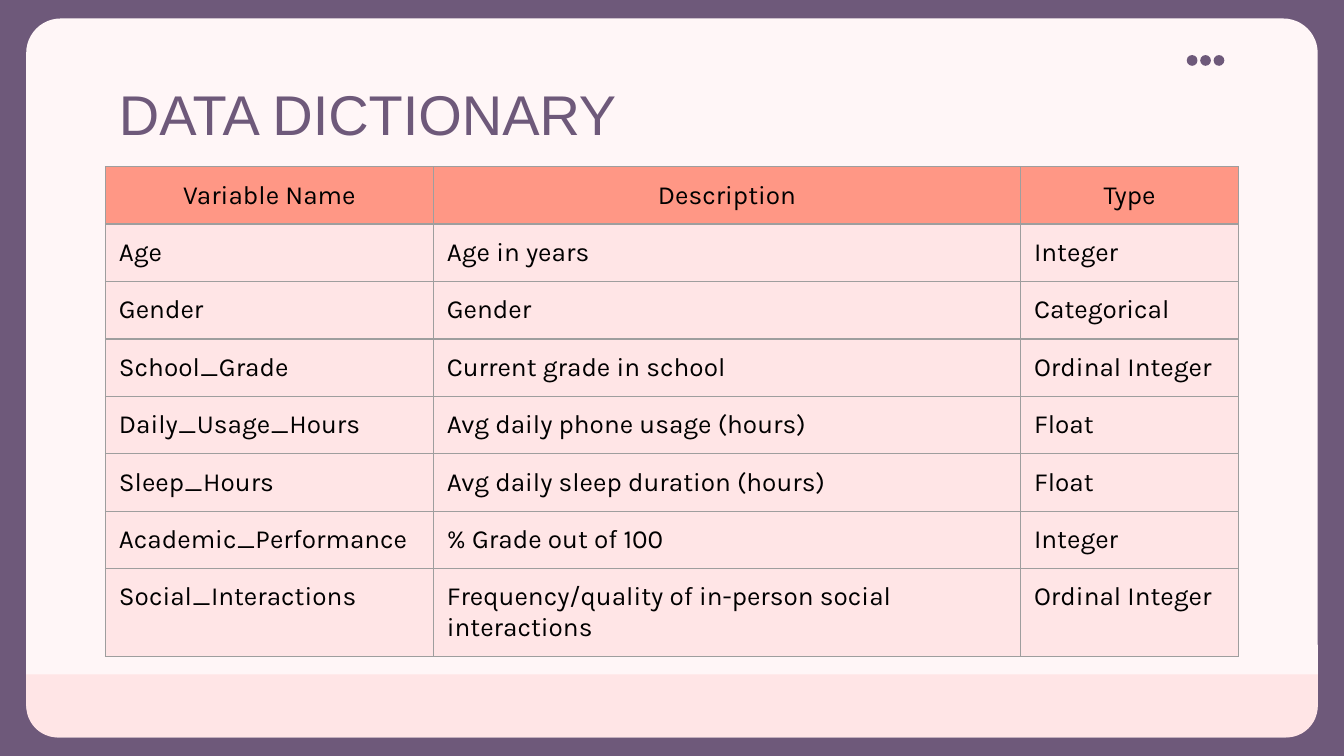
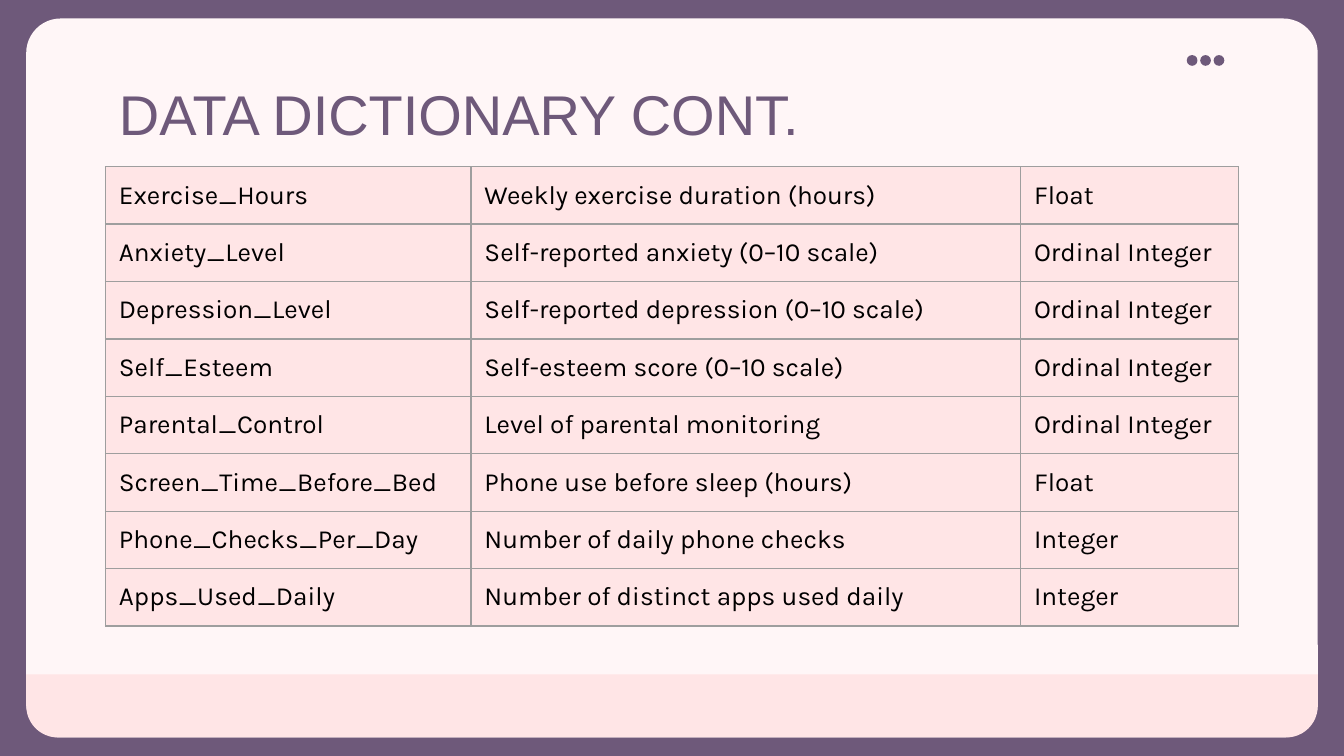
"""Builds two data dictionary slides with a shared panel layout."""
from dataclasses import dataclass

from lxml import etree
from pptx import Presentation
from pptx.dml.color import RGBColor
from pptx.enum.shapes import MSO_SHAPE
from pptx.enum.text import MSO_ANCHOR, MSO_AUTO_SIZE, PP_ALIGN
from pptx.oxml.ns import qn
from pptx.util import Inches, Pt

ROUNDED = MSO_SHAPE.ROUNDED_RECTANGLE
ROUNDED_TOP = MSO_SHAPE.ROUND_2_SAME_RECTANGLE
OVAL = MSO_SHAPE.OVAL
TOP = MSO_ANCHOR.TOP
NO_FIT = MSO_AUTO_SIZE.NONE
LEFT, CENTER = PP_ALIGN.LEFT, PP_ALIGN.CENTER


@dataclass(frozen=True)
class Theme:
    purple: str = "6E597A"
    panel: str = "FFF6F7"
    pink: str = "FFE5E6"
    coral: str = "FF9785"
    border: str = "9E9E9E"
    text: str = "000000"
    title_font: str = "Arial"
    body_font: str = "Karla"
    title_size: float = 30
    body_size: float = 14
    border_width: float = 0.75


THEME = Theme()

SLIDES = [
    {
        "title": "DATA DICTIONARY",
        "name_width": 2.44,
        "header": [("Variable Name", "Description", "Type")],
        "rows": [
            ("Age", "Age in years", "Integer"),
            ("Gender", "Gender", "Categorical"),
            ("School_Grade", "Current grade in school", "Ordinal Integer"),
            ("Daily_Usage_Hours", "Avg daily phone usage (hours)", "Float"),
            ("Sleep_Hours", "Avg daily sleep duration (hours)", "Float"),
            ("Academic_Performance", "% Grade out of 100", "Integer"),
            ("Social_Interactions", "Frequency/quality of in-person social interactions",
             "Ordinal Integer"),
        ],
    },
    {
        "title": "DATA DICTIONARY CONT.",
        "name_width": 2.72,
        "header": [],
        "rows": [
            ("Exercise_Hours", "Weekly exercise duration (hours)", "Float"),
            ("Anxiety_Level", "Self-reported anxiety (0–10 scale)", "Ordinal Integer"),
            ("Depression_Level", "Self-reported depression (0–10 scale)", "Ordinal Integer"),
            ("Self_Esteem", "Self-esteem score (0–10 scale)", "Ordinal Integer"),
            ("Parental_Control", "Level of parental monitoring", "Ordinal Integer"),
            ("Screen_Time_Before_Bed", "Phone use before sleep (hours)", "Float"),
            ("Phone_Checks_Per_Day", "Number of daily phone checks", "Integer"),
            ("Apps_Used_Daily", "Number of distinct apps used daily", "Integer"),
        ],
    },
]

SLIDE_WIDTH = 10
SLIDE_HEIGHT = SLIDE_WIDTH * 9 / 16
CONTENT_WIDTH, PANEL_WIDTH, PANEL_HEIGHT = 8.43, 9.61, 5.35
CONTENT_LEFT = (SLIDE_WIDTH - CONTENT_WIDTH) / 2
PANEL_LEFT = (SLIDE_WIDTH - PANEL_WIDTH) / 2
PANEL_TOP = (SLIDE_HEIGHT - PANEL_HEIGHT) / 2
BAND_HEIGHT = 0.47
TITLE_TOP, TITLE_HEIGHT = 0.49, 0.63
TABLE_TOP, ROW_HEIGHT, TYPE_WIDTH = 1.24, 0.42, 1.62
INSET = 0.1
DOT_LEFT, DOT_TOP, DOT_SIZE, DOT_STEP, DOT_COUNT = 8.83, 0.41, 0.08, 0.1, 3


def color(value):
    return RGBColor.from_string(value)


def fill_solid(target, value):
    target.fill.solid()
    target.fill.fore_color.rgb = color(value)


def add_plain_shape(slide, kind, left, top, width, height, fill):
    shape = slide.shapes.add_shape(
        kind, Inches(left), Inches(top), Inches(width), Inches(height))
    fill_solid(shape, fill)
    shape.line.fill.background()
    shape.shadow.inherit = False
    return shape


def decorate_layout(layout, slide):
    fill_solid(layout.background, THEME.purple)
    panel = add_plain_shape(slide, ROUNDED, PANEL_LEFT, PANEL_TOP,
                            PANEL_WIDTH, PANEL_HEIGHT, THEME.panel)
    panel.adjustments[0] = 0.048
    band_top = PANEL_TOP + PANEL_HEIGHT - BAND_HEIGHT
    band = add_plain_shape(slide, ROUNDED_TOP, PANEL_LEFT, band_top,
                           PANEL_WIDTH, BAND_HEIGHT, THEME.pink)
    band.adjustments[0] = 0.5
    band.rotation = 180
    dots = [add_plain_shape(slide, OVAL, DOT_LEFT + index * DOT_STEP, DOT_TOP,
                            DOT_SIZE, DOT_SIZE, THEME.purple)
            for index in range(DOT_COUNT)]
    for position, shape in enumerate([panel, band, *dots], start=2):
        layout.shapes.element.insert(position, shape.element)


def set_insets(target):
    target.margin_left = target.margin_right = Inches(INSET)
    target.margin_top = target.margin_bottom = Inches(INSET)


def style_paragraph(paragraph, font_name, size, value, alignment):
    paragraph.alignment = alignment
    for run in paragraph.runs:
        run.font.name = font_name
        run.font.size = Pt(size)
        run.font.color.rgb = color(value)


def set_title(slide, text):
    title = slide.shapes.title
    title.left, title.top = Inches(CONTENT_LEFT), Inches(TITLE_TOP)
    title.width, title.height = Inches(CONTENT_WIDTH), Inches(TITLE_HEIGHT)
    frame = title.text_frame
    frame.text = text
    frame.auto_size = NO_FIT
    frame.vertical_anchor = TOP
    set_insets(frame)
    style_paragraph(frame.paragraphs[0], THEME.title_font, THEME.title_size,
                    THEME.purple, LEFT)


def add_borders(cell):
    properties = cell._tc.get_or_add_tcPr()
    for side in ("a:lnL", "a:lnR", "a:lnT", "a:lnB"):
        line = etree.SubElement(properties, qn(side), w=str(Pt(THEME.border_width)))
        solid = etree.SubElement(line, qn("a:solidFill"))
        etree.SubElement(solid, qn("a:srgbClr"), val=THEME.border)


def style_cell(cell, text, is_header):
    cell.text_frame.text = text
    set_insets(cell)
    add_borders(cell)
    fill_solid(cell, THEME.coral if is_header else THEME.pink)
    style_paragraph(cell.text_frame.paragraphs[0], THEME.body_font, THEME.body_size,
                    THEME.text, CENTER if is_header else LEFT)


def add_dictionary_table(slide, content):
    rows = content["header"] + content["rows"]
    name_width = content["name_width"]
    widths = (name_width, CONTENT_WIDTH - name_width - TYPE_WIDTH, TYPE_WIDTH)
    table = slide.shapes.add_table(
        len(rows), len(widths), Inches(CONTENT_LEFT), Inches(TABLE_TOP),
        Inches(CONTENT_WIDTH), Inches(ROW_HEIGHT * len(rows))).table
    table.first_row = bool(content["header"])
    table.horz_banding = False
    for column, width in zip(table.columns, widths):
        column.width = Inches(width)
    for row_index, values in enumerate(rows):
        table.rows[row_index].height = Inches(ROW_HEIGHT)
        for column_index, text in enumerate(values):
            style_cell(table.cell(row_index, column_index), text,
                       row_index < len(content["header"]))


def main():
    presentation = Presentation()
    presentation.slide_width = Inches(SLIDE_WIDTH)
    presentation.slide_height = Inches(SLIDE_HEIGHT)
    layout = presentation.slide_layouts.get_by_name("Title Only")
    for index, content in enumerate(SLIDES):
        slide = presentation.slides.add_slide(layout)
        if index == 0:
            decorate_layout(layout, slide)
        set_title(slide, content["title"])
        add_dictionary_table(slide, content)
    presentation.save("out.pptx")


if __name__ == "__main__":
    main()
